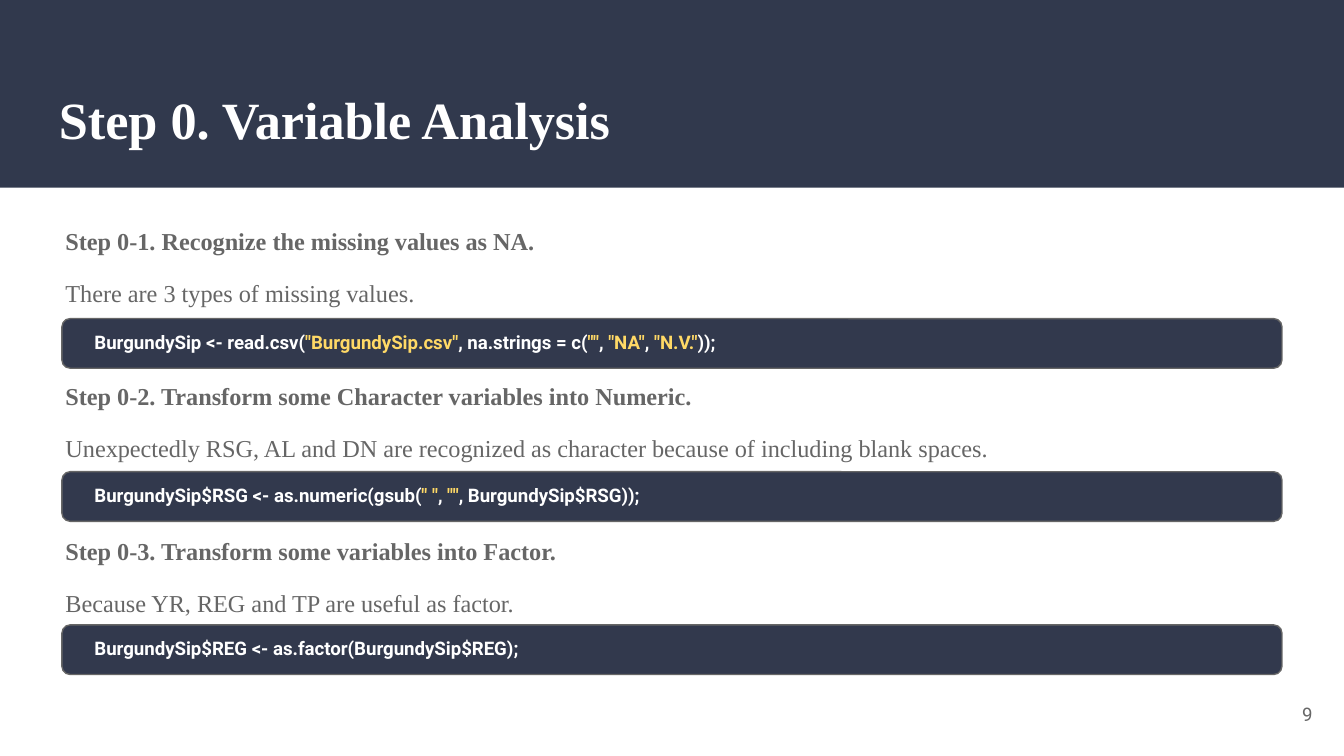
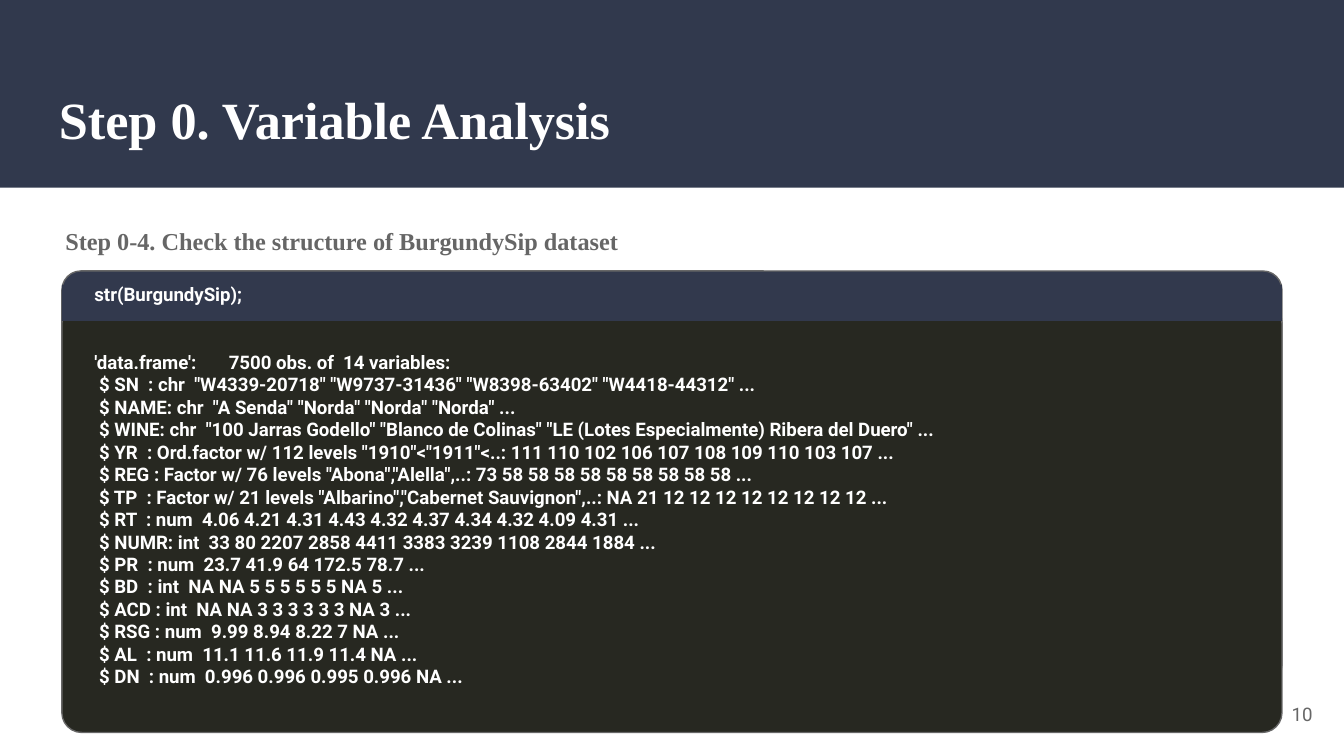
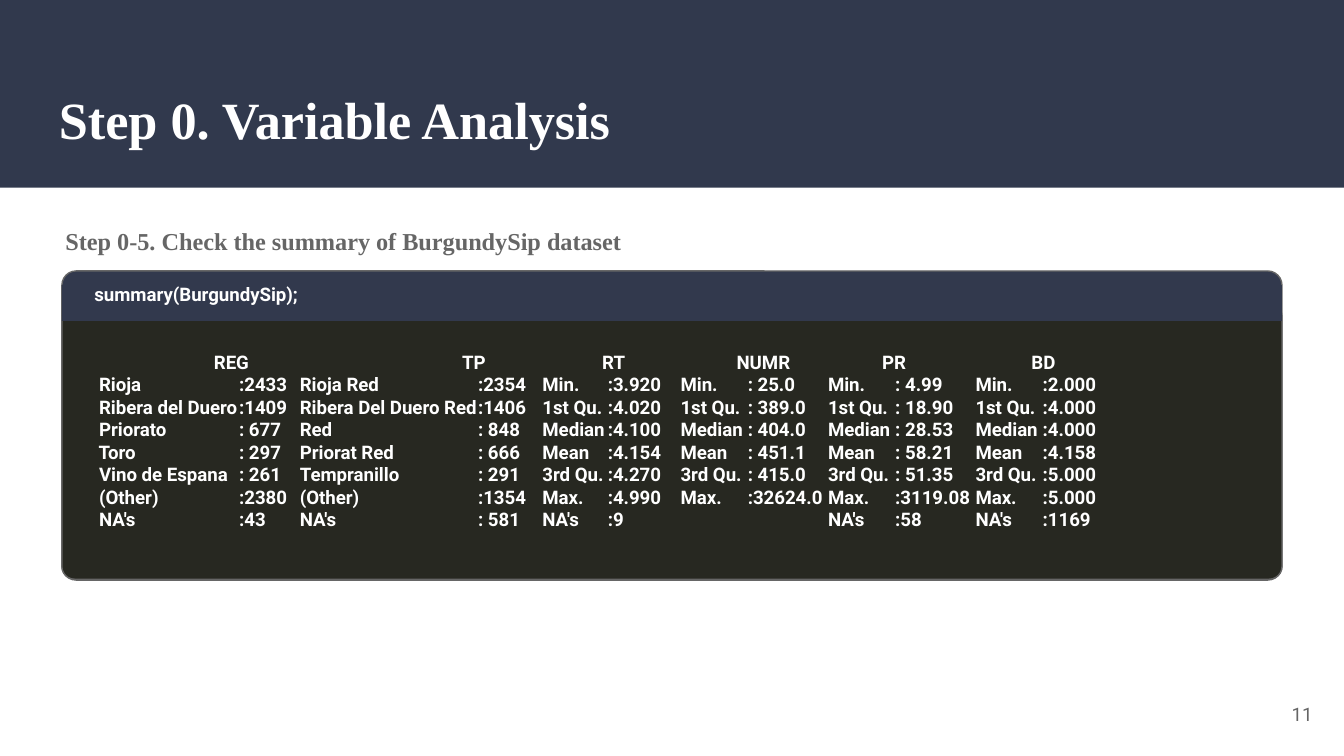
import pptx
import pptx.util
import pptx.dml.color
import pptx.enum.shapes
import pptx.enum.text
import lxml.etree

Pt = pptx.util.Pt
hues = {
    "band": "31394D",
    "code": "32394D",
    "panel": "272821",
    "gray": "666666",
    "white": "FFFFFF",
    "gold": "FFD966",
}
serif = "Times New Roman"
sans = "Roboto"
left, wide = 33.2, 653.6
inset, span = 43.5, 619
head = "Step 0. Variable Analysis"

steps = [
    ("Step 0-1. Recognize the missing values as NA.",
     "There are 3 types of missing values.",
     'BurgundySip <- read.csv("BurgundySip.csv", na.strings = c("", "NA", "N.V."));'),
    ("Step 0-2. Transform some Character variables into Numeric.",
     "Unexpectedly RSG, AL and DN are recognized as character because of including blank spaces.",
     'BurgundySip$RSG <- as.numeric(gsub(" ", "", BurgundySip$RSG));'),
    ("Step 0-3. Transform some variables into Factor.",
     "Because YR, REG and TP are useful as factor.",
     "BurgundySip$REG <- as.factor(BurgundySip$REG);"),
]

fields = [
    "'data.frame':\t7500 obs. of  14 variables:",
    ' $ SN  : chr  "W4339-20718" "W9737-31436" "W8398-63402" "W4418-44312" ...',
    ' $ NAME: chr  "A Senda" "Norda" "Norda" "Norda" ...',
    ' $ WINE: chr  "100 Jarras Godello" "Blanco de Colinas" "LE (Lotes Especialmente) Ribera del Duero" ...',
    ' $ YR  : Ord.factor w/ 112 levels "1910"<"1911"<..: 111 110 102 106 107 108 109 110 103 107 ...',
    ' $ REG : Factor w/ 76 levels "Abona","Alella",..: 73 58 58 58 58 58 58 58 58 58 ...',
    ' $ TP  : Factor w/ 21 levels "Albarino","Cabernet Sauvignon",..: NA 21 12 12 12 12 12 12 12 12 ...',
    " $ RT  : num  4.06 4.21 4.31 4.43 4.32 4.37 4.34 4.32 4.09 4.31 ...",
    " $ NUMR: int  33 80 2207 2858 4411 3383 3239 1108 2844 1884 ...",
    " $ PR  : num  23.7 41.9 64 172.5 78.7 ...",
    " $ BD  : int  NA NA 5 5 5 5 5 5 NA 5 ...",
    " $ ACD : int  NA NA 3 3 3 3 3 3 NA 3 ...",
    " $ RSG : num  9.99 8.94 8.22 7 NA ...",
    " $ AL  : num  11.1 11.6 11.9 11.4 NA ...",
    " $ DN  : num  0.996 0.996 0.995 0.996 NA ...",
]

stats = [
    ["", "REG", "TP", "RT", "NUMR", "PR", "BD"],
    [" Rioja", ":2433", "Rioja Red", ":2354", "Min.", ":3.920",
     "Min.", ": 25.0", "Min.", ": 4.99", "Min.", ":2.000"],
    [" Ribera del Duero", ":1409", "Ribera Del Duero Red", ":1406", "1st Qu.", ":4.020",
     "1st Qu.", ": 389.0", "1st Qu.", ": 18.90", "1st Qu.", ":4.000"],
    [" Priorato", ": 677", "Red", ": 848", "Median", ":4.100",
     "Median", ": 404.0", "Median", ": 28.53", "Median", ":4.000"],
    [" Toro", ": 297", "Priorat Red", ": 666", "Mean", ":4.154",
     "Mean", ": 451.1", "Mean", ": 58.21", "Mean", ":4.158"],
    [" Vino de Espana", ": 261", "Tempranillo", ": 291", "3rd Qu.", ":4.270",
     "3rd Qu.", ": 415.0", "3rd Qu.", ": 51.35", "3rd Qu.", ":5.000"],
    [" (Other)", ":2380", "(Other)", ":1354", "Max.", ":4.990",
     "Max.", ":32624.0", "Max.", ":3119.08", "Max.", ":5.000"],
    [" NA's", ":43", "NA's", ": 581", "NA's", ":9", "", "", "NA's", ":58", "NA's", ":1169"],
]
tops = [64, 197, 272, 344, 422, 502]
stops = [77.5, 110, 205.5, 240, 275, 314, 350, 393, 429, 472, 508]


def block(slide, area, fill, curve=None, edge=False):
    kinds = pptx.enum.shapes.MSO_SHAPE
    kind = kinds.RECTANGLE if curve is None else kinds.ROUNDED_RECTANGLE
    shape = slide.shapes.add_shape(kind, *map(Pt, area))
    shape.shadow.inherit = False
    if curve is not None:
        shape.adjustments[0] = curve
    shape.fill.solid()
    shape.fill.fore_color.rgb = pptx.dml.color.RGBColor.from_string(hues[fill])
    if edge:
        shape.line.color.rgb = pptx.dml.color.RGBColor.from_string(hues["gray"])
        shape.line.width = Pt(0.75)
    else:
        shape.line.fill.background()


def write(slide, area, lines, size, face, hue, bold=True):
    frame = slide.shapes.add_textbox(*map(Pt, area)).text_frame
    frame.word_wrap = True
    frame.margin_left = frame.margin_right = Pt(7.2)
    frame.margin_top = frame.margin_bottom = Pt(7.2)
    for i, line in enumerate(lines):
        para = frame.paragraphs[0] if i == 0 else frame.add_paragraph()
        for j, part in enumerate(line.split('"') if hue == "mixed" else [line]):
            run = para.add_run()
            quote = j % 2 == 1
            run.text = f'"{part}"' if quote else part
            tint = hue if hue != "mixed" else "gold" if quote else "white"
            run.font.size = Pt(size)
            run.font.name = face
            run.font.bold = bold
            run.font.color.rgb = pptx.dml.color.RGBColor.from_string(hues[tint])
    return frame


deck = pptx.Presentation()
deck.slide_width, deck.slide_height = Pt(720), Pt(405)
slides = []
for page in (9, 10, 11):
    slide = deck.slides.add_slide(deck.slide_layouts[6])
    block(slide, (0, 0, 720, 100.6), "band")
    write(slide, (24.5, 39.6, 671, 49), [head], 28, serif, "white")
    foot = write(slide, (667.2, 367.2, 43, 31), [str(page)], 10, sans, "gray", False)
    foot.vertical_anchor = pptx.enum.text.MSO_ANCHOR.MIDDLE
    foot.paragraphs[0].alignment = pptx.enum.text.PP_ALIGN.RIGHT
    slides.append(slide)

notes = [line for step in steps for line in step[:2]]
body = write(slides[0], (28, 113.8, 664.5, 261), notes, 13, serif, "gray")
for i, para in enumerate(body.paragraphs):
    if i % 2:
        para.runs[0].font.bold = False
    if i:
        para.space_before = Pt(12.2 if i % 2 else 39.7)
for i, step in enumerate(steps):
    top = 170.7 + 82.05 * i
    block(slides[0], (left, top, wide, 26.6), "code", 0.167, True)
    write(slides[0], (inset, top + 0.3, span, 26.6), [step[2]], 10, sans, "mixed")

views = [
    (slides[1], "Step 0-4. Check the structure of BurgundySip dataset",
     "str(BurgundySip);", fields, 221, 229.7),
    (slides[2], "Step 0-5. Check the summary of BurgundySip dataset",
     "summary(BurgundySip);", ["\t".join(row) for row in stats], 165.6, 147.6),
]
for slide, note, call, lines, back, front in views:
    write(slide, (28, 113.8, 664.5, 57), [note], 13, serif, "gray")
    block(slide, (left, 145.2, wide, back), "code", 0.046, True)
    block(slide, (left, 162.7, wide, front), "panel", 0.046, True)
    block(slide, (left, 152.6, wide, 19.4), "code", 0)
    write(slide, (inset, 145.6, span, 26.6), [call], 10, sans, "white")
    dump = write(slide, (inset, 180.8, span, front - 21), lines, 10, sans, "white")

for i, para in enumerate(dump.paragraphs):
    props = para._p.get_or_add_pPr()
    space = props.nsmap["a"]
    tabs = lxml.etree.SubElement(props, f"{{{space}}}tabLst")
    for stop in stops if i else tops:
        lxml.etree.SubElement(tabs, f"{{{space}}}tab", pos=str(Pt(stop)), algn="l")

deck.save("out.pptx")
